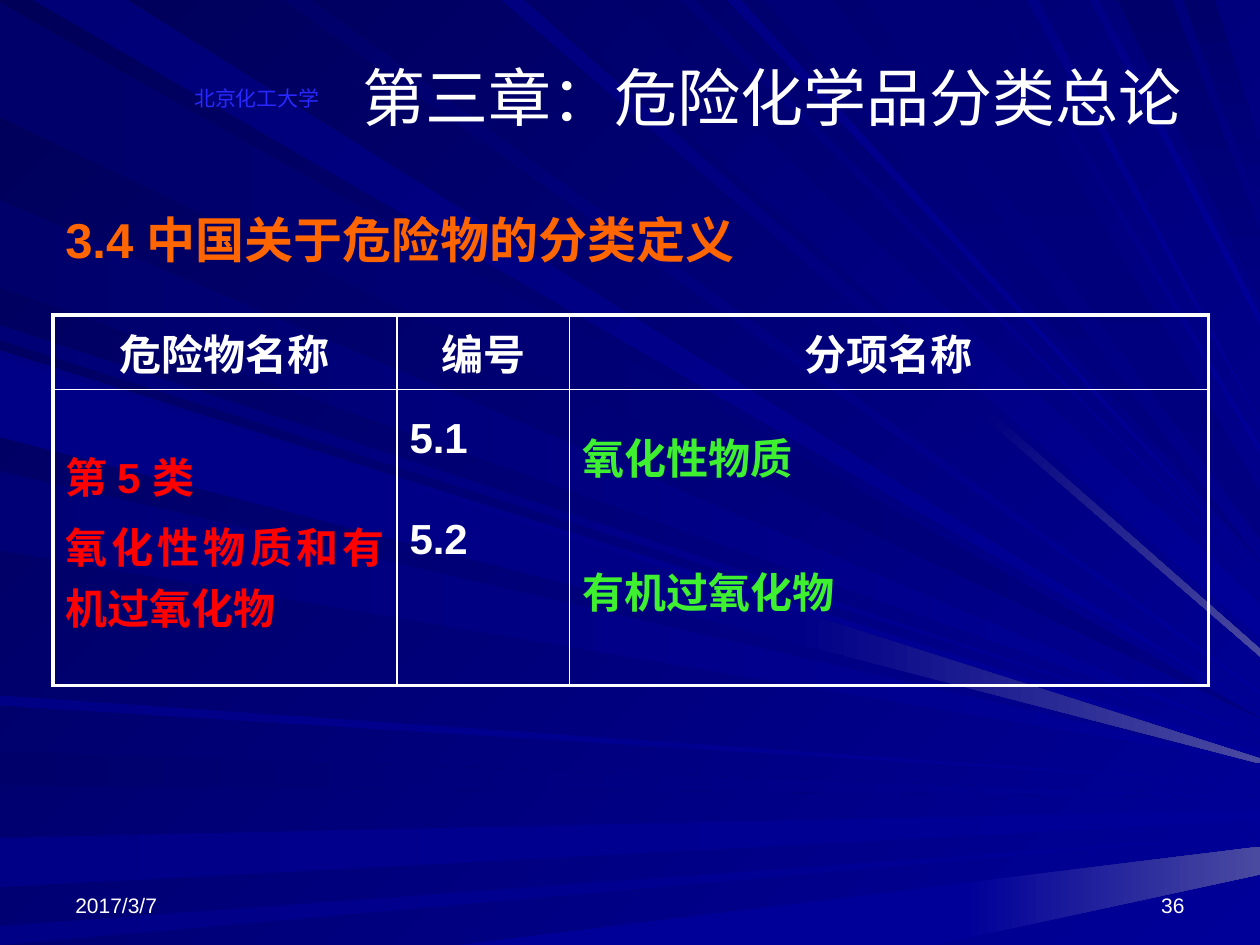
from lxml import etree
from pptx import Presentation
from pptx.dml.color import RGBColor
from pptx.enum.text import MSO_ANCHOR, PP_ALIGN
from pptx.oxml.ns import qn
from pptx.util import Pt

PX = 9144  # EMU in one px, 100 px to the inch
WIDTH, HEIGHT = 1000, 750
LEFT, CENTER, RIGHT, JUSTIFY = (
    PP_ALIGN.LEFT, PP_ALIGN.CENTER, PP_ALIGN.RIGHT, PP_ALIGN.JUSTIFY)
TOP, MIDDLE, BOTTOM = MSO_ANCHOR.TOP, MSO_ANCHOR.MIDDLE, MSO_ANCHOR.BOTTOM

FONT = "Arial"
WHITE, ORANGE, RED, GREEN, VIOLET = "FFFFFF", "FF6600", "FF0000", "3EF030", "2929FF"
MIDNIGHT, DEEP, DUSK, NAVY, DIM, BLUE, GLOW = (
    "000058", "00006B", "000076", "000080", "000087", "000099", "4A4AA1")
THICK, THIN = 2.25, 1

# Edge the ray starts on, its span there, height where it meets the right
# edge, half its width there, first and last colour
RAYS = [
    ("left", 2, 93, 570, 0, DEEP, NAVY),
    ("top", 26, 101, 563, 0, DUSK, BLUE),
    ("left", 596, 623, 632, 0, DEEP, BLUE),
    ("left", 665, 704, 647, 4, DIM, BLUE),
    ("left", 735, 750, 662, 0, DIM, BLUE),
    ("bottom", 364, 742, 683, 11, BLUE, GLOW),
    ("left", 258, 270, 589, 0, DUSK, BLUE),
    ("left", 159, 228, 585, 0, DEEP, BLUE),
    ("top", 398, 416, 518, 3, NAVY, GLOW),
    ("top", 426, 492, 493, 14, DEEP, BLUE),
    ("top", 540, 552, 463, 0, DUSK, BLUE),
    ("top", 606, 661, 446, 0, DUSK, NAVY),
    ("top", 887, 930, 210, 27, DEEP, NAVY),
    ("top", 939, 964, 140, 26, DEEP, NAVY),
    ("left", 278, 342, 600, 3, NAVY, BLUE),
    ("left", 374, 437, 606, 0, DUSK, BLUE),
    ("left", 552, 560, 622, 0, DIM, BLUE),
    ("top", 225, 247, 550, 2, DEEP, BLUE),
    ("top", 577, 588, 454, 0, DIM, BLUE),
    ("top", 686, 770, 409, 19, DUSK, NAVY),
    ("top", 785, 792, 357, 3, DUSK, BLUE),
    ("top", 815, 824, 336, 0, DIM, BLUE),
    ("top", 865, 872, 254, 4, DIM, BLUE),
    ("left", 283, 347, 604, 2, DIM, GLOW),
]

COLUMNS = (273, 137, 507)
ROWS = (59, 235)
HEADER = ("危险物名称", "编号", "分项名称")
# Lines, colour, top margin, anchor, paragraph format, space between lines
BODY = [
    (("第 5 类", "氧化性物质和有机过氧化物"), RED, 10, MIDDLE, {"alignment": JUSTIFY}, 5),
    (("5.1", "5.2"), WHITE, 21, TOP, {}, 31),
    (("氧化性物质", "有机过氧化物"), GREEN, 5, TOP, {"line_spacing": 1.5}, 24),
]


def rgb(value):
    return RGBColor.from_string(value)


def apply_format(target, values):
    for name, value in values.items():
        setattr(target, name, value)


def paint(fill, first, last, angle):
    """Linear gradient at a clockwise angle; a glow starts past the middle."""
    fill.gradient()
    fill.gradient_angle = (360 - angle) % 360
    for stop, color in zip(fill.gradient_stops, (first, last)):
        stop.color.rgb = rgb(color)
    if last == GLOW:
        fill.gradient_stops[0].position = 0.63


def add_ray(page, edge, start, end, tip, spread, first, last):
    near = {
        "left": [(0, start), (0, end)],
        "top": [(start, 0), (end, 0)],
        "bottom": [(start, HEIGHT), (end, HEIGHT)],
    }[edge]
    far = [(WIDTH, tip + spread), (WIDTH, tip - spread)]
    angle = 0
    if edge == "top":
        far.reverse()
        angle = 90 if last == NAVY else 45
    builder = page.shapes.build_freeform(*near[0], scale=PX)
    builder.add_line_segments(near[1:] + far, close=True)
    ray = builder.convert_to_shape()
    ray.shadow.inherit = False
    ray.line.fill.background()
    paint(ray.fill, first, last, angle)


def write_lines(frame, lines, color, size, bold=False, para_format=None, gap=0):
    for index, line in enumerate(lines):
        para = frame.paragraphs[0] if index == 0 else frame.add_paragraph()
        apply_format(para, para_format or {})
        if index:
            para.space_before = Pt(gap)
        span = para.add_run()
        span.text = line
        apply_format(span.font, {"name": FONT, "size": Pt(size), "bold": bold})
        span.font.color.rgb = rgb(color)


def add_text(page, place, text, color, size, anchor, bold=False, **para_format):
    box = page.shapes.add_textbox(*(value * PX for value in place))
    apply_format(box.text_frame, {"word_wrap": True, "vertical_anchor": anchor})
    write_lines(box.text_frame, [text], color, size, bold, para_format)


def draw_borders(cell, row, column):
    """Thick lines round the table, thin lines inside it."""
    outer = {
        "a:lnL": column == 0,
        "a:lnR": column == len(COLUMNS) - 1,
        "a:lnT": row == 0,
        "a:lnB": row == len(ROWS) - 1,
    }
    properties = cell._tc.get_or_add_tcPr()
    for tag, is_outer in outer.items():
        line = etree.SubElement(properties, qn(tag), w=str(Pt(THICK if is_outer else THIN)))
        solid = etree.SubElement(line, qn("a:solidFill"))
        etree.SubElement(solid, qn("a:srgbClr"), val=WHITE)


def add_class_table(page):
    place = (42, 250, sum(COLUMNS), sum(ROWS))
    table = page.shapes.add_table(
        len(ROWS), len(COLUMNS), *(value * PX for value in place)).table
    apply_format(table, {"first_row": False, "horz_banding": False})
    for column, width in zip(table.columns, COLUMNS):
        column.width = width * PX
    for row, height in zip(table.rows, ROWS):
        row.height = height * PX
    header = [((name,), WHITE, 5, MIDDLE, {"alignment": CENTER}, 0) for name in HEADER]
    for row, contents in enumerate((header, BODY)):
        for column, (lines, color, margin, anchor, para_format, gap) in enumerate(contents):
            cell = table.cell(row, column)
            draw_borders(cell, row, column)
            cell.fill.background()
            apply_format(cell, {"margin_top": margin * PX, "vertical_anchor": anchor})
            write_lines(cell.text_frame, lines, color, 24, True, para_format, gap)


def main():
    deck = Presentation()
    apply_format(deck, {"slide_width": WIDTH * PX, "slide_height": HEIGHT * PX})
    page = deck.slides.add_slide(deck.slide_layouts[6])
    paint(page.background.fill, MIDNIGHT, BLUE, 45)
    for ray in RAYS:
        add_ray(page, *ray)
    add_text(page, (50, 683, 233, 50), "2017/3/7", WHITE, 12, BOTTOM, alignment=LEFT)
    add_text(page, (717, 683, 233, 50), "36", WHITE, 12, BOTTOM, alignment=RIGHT)
    add_text(page, (42, 167, 600, 50), "3.4 中国关于危险物的分类定义", ORANGE, 28, TOP,
             bold=True, line_spacing=0.9)
    add_class_table(page)
    add_text(page, (133, 58, 142, 35), "北京化工大学", VIOLET, 12, BOTTOM, alignment=CENTER)
    add_text(page, (275, 25, 675, 103), "第三章：危险化学品分类总论", WHITE, 36, MIDDLE,
             alignment=CENTER)
    deck.save("out.pptx")


if __name__ == "__main__":
    main()
